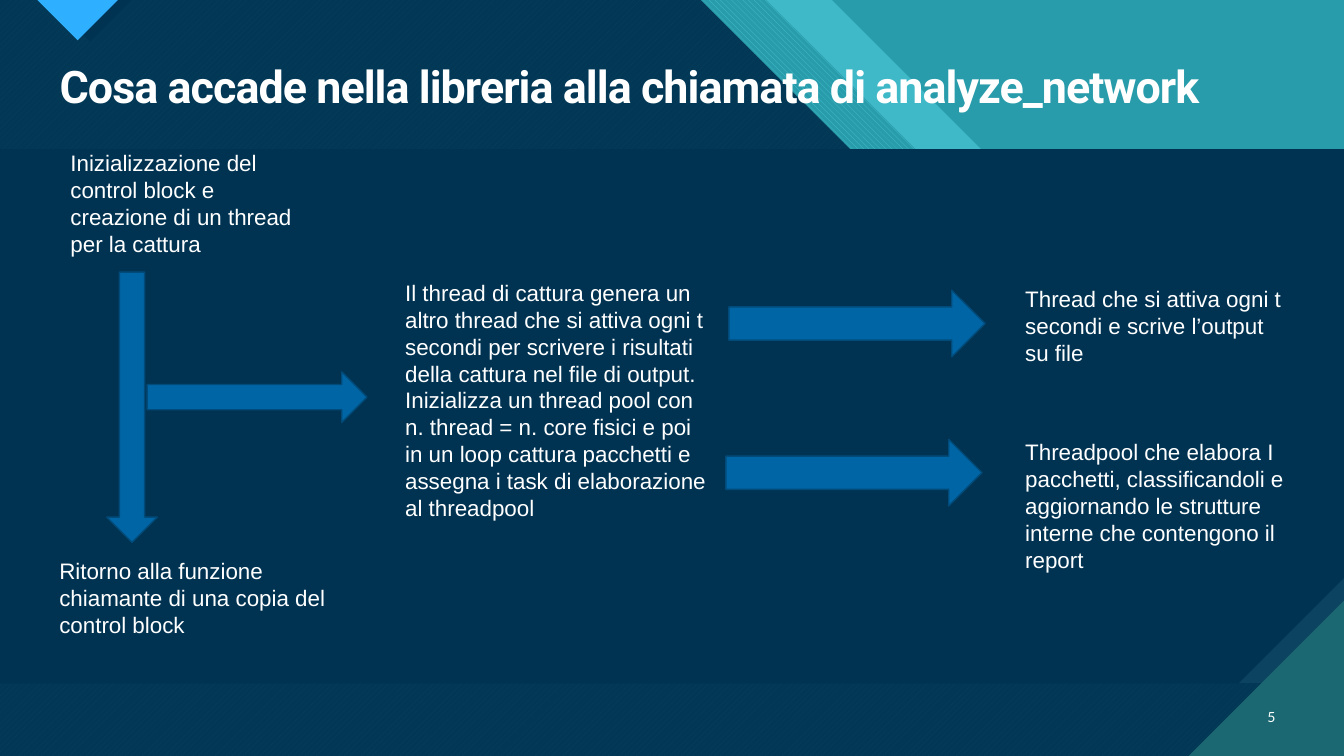
import pptx
import pptx.util
import pptx.dml.color
import pptx.enum.dml
import pptx.enum.shapes
import pptx.enum.text
import pptx.oxml.ns
from lxml import etree

# Grid of half-inch cells; every length below is in columns or rows
CELL = 0.5
COLS, ROWS = 26.66, 15
HEAD, FOOT = 2.96, 13.56      # rows where the header ends and the footer starts

PATTERN = pptx.enum.dml.MSO_PATTERN
SHAPE = pptx.enum.shapes.MSO_SHAPE
ALIGN = pptx.enum.text.PP_ALIGN
ANCHOR = pptx.enum.text.MSO_ANCHOR


def cells(n):
    return pptx.util.Inches(n * CELL)


def rgb(color):
    return pptx.dml.color.RGBColor.from_string(color)


def paint(sp, color, alpha=None):
    sp.shadow.inherit = False
    sp.fill.solid()
    sp.fill.fore_color.rgb = rgb(color)
    sp.line.fill.background()
    if alpha is not None:
        clr = sp.fill._xPr.find(".//" + pptx.oxml.ns.qn("a:srgbClr"))
        etree.SubElement(clr, pptx.oxml.ns.qn("a:alpha"), val=str(alpha * 1000))


def hatch(sp, pattern, fore, back):
    sp.fill.patterned()
    sp.fill.pattern = pattern
    sp.fill.fore_color.rgb = rgb(fore)
    sp.fill.back_color.rgb = rgb(back)


def polygon(s, points, color, alpha=None):
    pts = [(cells(x), cells(y)) for x, y in points]
    builder = s.shapes.build_freeform(*pts[0], scale=1.0)
    builder.add_line_segments(pts[1:], close=True)
    sp = builder.convert_to_shape()
    paint(sp, color, alpha)
    return sp


def slanted(s, edge, color, alpha=None):
    """Area left of a 45-degree edge that starts at column `edge`."""
    points = [(0, 0), (edge, 0), (edge + HEAD, HEAD), (COLS, HEAD),
              (COLS, ROWS), (0, ROWS)]
    return polygon(s, points, color, alpha)


def format_text(tf, size, font, align=ALIGN.LEFT, bold=False):
    tf.word_wrap = True
    tf.auto_size = pptx.enum.text.MSO_AUTO_SIZE.NONE
    for p in tf.paragraphs:
        p.alignment = align
        for r in p.runs:
            r.font.size = pptx.util.Pt(size)
            r.font.name = font
            r.font.bold = bold
            r.font.color.rgb = rgb("FFFFFF")


def label(s, box, text, size=16, font="Arial", align=ALIGN.LEFT,
          anchor=ANCHOR.TOP):
    tf = s.shapes.add_textbox(*map(cells, box)).text_frame
    tf.text = text
    tf.vertical_anchor = anchor
    format_text(tf, size, font, align)


def arrow(s, kind, box):
    sp = s.shapes.add_shape(kind, *map(cells, box))
    paint(sp, "0065A4")
    sp.line.color.rgb = rgb("004B79")
    sp.line.width = pptx.util.Pt(1)


def title(s, box, text):
    sp = s.shapes.title
    sp.left, sp.top, sp.width, sp.height = map(cells, box)
    tf = sp.text_frame
    tf.text = text
    tf.vertical_anchor = ANCHOR.MIDDLE
    format_text(tf, 32, "Roboto", bold=True)
    p = tf.paragraphs[0]
    p.line_spacing = 0.9
    p.runs[0].font._element.set("spc", "-70")
    sp.element.getparent().append(sp.element)   # above the backdrop


def backdrop(s):
    s.background.fill.solid()
    s.background.fill.fore_color.rgb = rgb("299CAB")

    # Slanted header bands
    slanted(s, 16.5, "47C3D3", 74)
    hatch(slanted(s, 15.2, "299CAB"), PATTERN.WIDE_DOWNWARD_DIAGONAL,
          "47C3D3", "299CAB")
    hatch(slanted(s, 13.9, "1B6872"), PATTERN.WIDE_UPWARD_DIAGONAL,
          "47C3D3", "1B6872")
    slanted(s, 13.9, "003352", 90)

    # Top marker and its shade
    for left, depth, color in ((0.96, 0.82, "003352"), (0.74, 0.8, "2FAFFF")):
        polygon(s, [(left, 0), (left + depth, depth), (left + 2 * depth, 0)],
                color)

    # Body panel with a cut corner
    cut = 2.09
    polygon(s, [(0, HEAD), (COLS, HEAD), (COLS, FOOT), (0, FOOT)], "0C4360")
    polygon(s, [(0, HEAD), (COLS, HEAD), (COLS, FOOT - cut),
                (COLS - cut, FOOT), (0, FOOT)], "003352")

    # Bottom corner
    corner = 3.08
    polygon(s, [(COLS - corner, ROWS), (COLS, ROWS), (COLS, ROWS - corner)],
            "1B6872")


def main():
    prs = pptx.Presentation()
    prs.slide_width, prs.slide_height = cells(COLS), cells(ROWS)
    s = prs.slides.add_slide(prs.slide_layouts[5])
    backdrop(s)
    title(s, (0.98, 1.18, 24.52, 1.18),
          "Cosa accade nella libreria alla chiamata di analyze_network")
    label(s, (24.62, 13.82, 0.88, 0.8), "5", 10, "Lato", ALIGN.RIGHT,
          ANCHOR.MIDDLE)

    # Start and return of the call
    label(s, (1.2, 2.86, 5.16, 2.36),
          "Inizializzazione del control block e creazione di un thread "
          "per la cattura")
    arrow(s, SHAPE.DOWN_ARROW, (2.12, 5.4, 1, 5.36))
    label(s, (0.98, 10.96, 5.72, 1.82),
          "Ritorno alla funzione chiamante di una copia del control block")

    # Capture thread
    arrow(s, SHAPE.RIGHT_ARROW, (2.92, 7.38, 4.36, 1))
    label(s, (7.84, 5.44, 6.36, 5.04),
          "Il thread di cattura genera un altro thread che si attiva ogni t "
          "secondi per scrivere i risultati della cattura nel file di output.\n"
          "Inizializza un thread pool con n. thread = n. core fisici e poi in "
          "un loop cattura pacchetti e assegna i task di elaborazione al "
          "threadpool")

    # Threads it starts
    arrow(s, SHAPE.RIGHT_ARROW, (14.46, 5.76, 5.08, 1.32))
    label(s, (20.14, 5.56, 5.68, 1.82),
          "Thread che si attiva ogni t secondi e scrive l’output su file")
    arrow(s, SHAPE.RIGHT_ARROW, (14.4, 8.72, 5.08, 1.32))
    label(s, (20.14, 8.6, 5.68, 2.9),
          "Threadpool che elabora I pacchetti, classificandoli e aggiornando "
          "le strutture interne che contengono il report")

    prs.save("out.pptx")


main()
